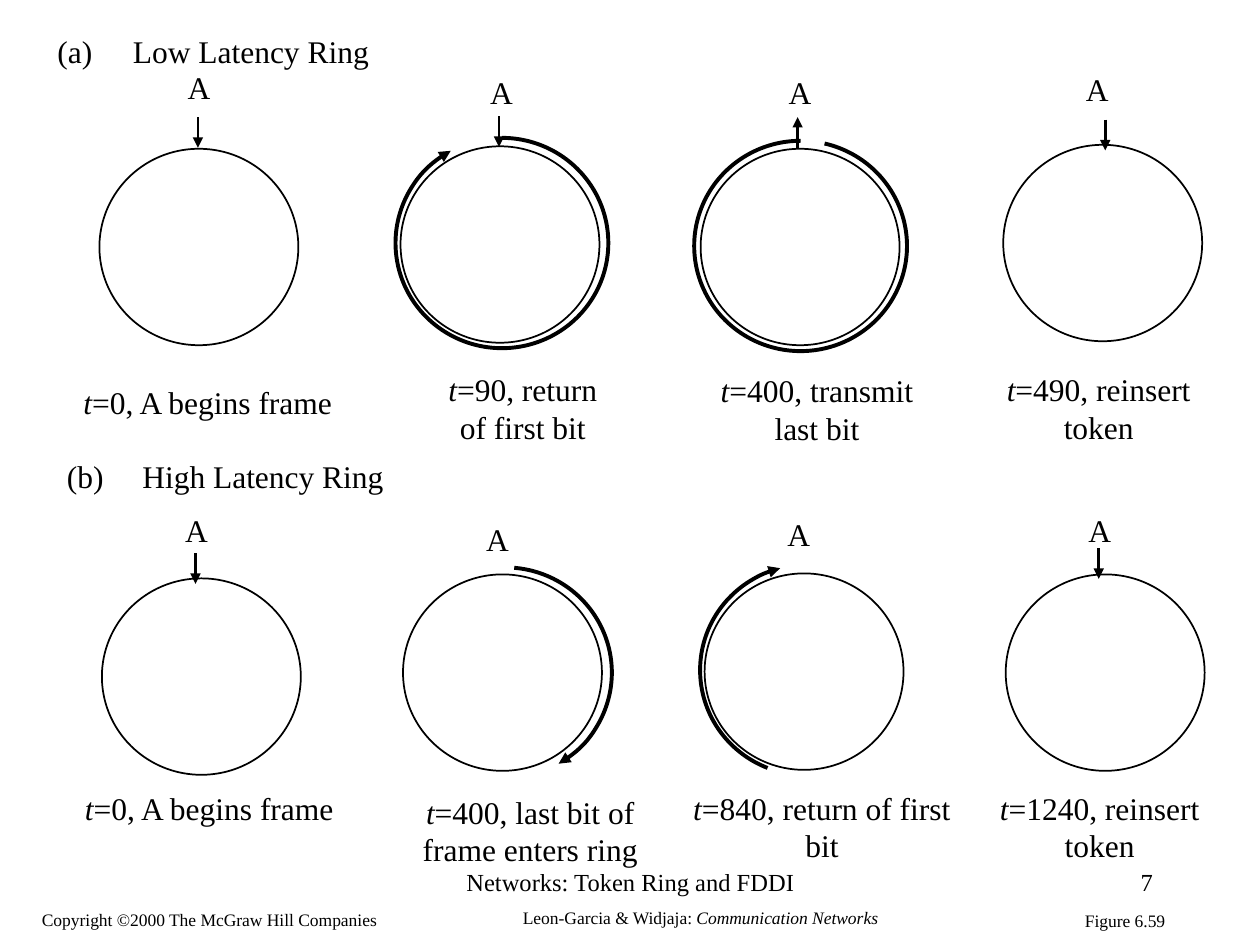
from lxml.etree import SubElement
from pptx import Presentation
from pptx.dml.color import RGBColor
from pptx.enum.shapes import MSO_CONNECTOR as LINE, MSO_SHAPE as SHAPE
from pptx.enum.text import MSO_ANCHOR as ANCHOR, PP_ALIGN as ALIGN
from pptx.oxml.ns import qn
from pptx.util import Cm, Pt

INK, PAPER = "000000", "FFFFFF"
FONT = "Times New Roman"
RING_SIZE = (4.01, 3.96)
ARC_SIZE = (4.29, 4.24)
STATION_SIZE = (0.97, 1.02)
ARROW_LENGTH = 0.62
LINE_HEIGHT, BOX_PADDING = 0.76, 0.26

# Centres and sizes in cm; arrow: x, top, direction;
# arc: centre, start and end angle (clockwise from the right), arrowhead
STAGES = [
    dict(ring=(4.01, 4.98), station=(4.01, 1.75), arrow=(3.99, 2.36, "down"),
         caption=(4.19, 8.10, 5.7), time=["=0, A begins frame"]),
    dict(ring=(10.08, 4.93), station=(10.11, 1.85), arrow=(10.06, 2.34, "down"),
         arc=(10.12, 4.90, 270, 241, True),
         caption=(10.54, 8.23, 3.7), time=["=90, return", "of first bit"]),
    dict(ring=(16.13, 4.98), station=(16.13, 1.85), arrow=(16.08, 2.36, "up"),
         arc=(16.14, 4.96, 283.2, 270, False),
         caption=(16.47, 8.25, 4.6), time=["=400, transmit", "last bit"]),
    dict(ring=(22.23, 4.90), station=(22.12, 1.80), arrow=(22.28, 2.41, "down"),
         caption=(22.15, 8.23, 4.4), time=["=490, reinsert", "token"]),
    dict(ring=(4.06, 13.64), station=(3.96, 10.69), arrow=(3.94, 11.15, "down"),
         caption=(4.22, 16.28, 5.7), time=["=0, A begins frame"]),
    dict(ring=(10.13, 13.56), station=(10.03, 10.87),
         arc=(10.19, 13.56, 274.8, 59.7, True), wrapped=True,
         caption=(10.69, 16.74, 5.64), time=["=400, last bit of frame enters ring"]),
    dict(ring=(16.21, 13.54), station=(16.10, 10.77),
         arc=(16.26, 13.51, 111.7, 255.5, True), wrapped=True,
         caption=(16.57, 16.66, 5.87), time=["=840, return of first bit"]),
    dict(ring=(22.28, 13.56), station=(22.17, 10.69), arrow=(22.15, 11.05, "down"),
         caption=(22.17, 16.66, 4.9), time=["=1240, reinsert", "token"]),
]
HEADINGS = [
    ("(a)\tLow Latency Ring", (4.51, 1.02, 7.2, 1.02)),
    ("(b)\tHigh Latency Ring", (4.70, 9.60, 7.2, 1.02)),
]
HEADING_TAB = 1.52
FOOTERS = [
    ([("Networks: Token Ring and FDDI", False)], (12.71, 17.98, 8.05, 1.27),
     dict(size=14, anchor=ANCHOR.TOP, wrap=True)),
    ([("7", False)], (20.85, 17.98, 5.28, 1.27),
     dict(size=14, anchor=ANCHOR.TOP, wrap=True, align=ALIGN.RIGHT)),
    ([("Figure 6.59", False)], (22.68, 18.55, 2.3, 0.69), dict(size=10)),
    ([("Leon-Garcia & Widjaja: ", False), ("Communication Networks", True)],
     (14.12, 18.50, 7.77, 0.69), dict(size=10)),
    ([("Copyright ©2000 The McGraw Hill Companies", False)],
     (4.22, 18.53, 7.4, 0.69), dict(size=10)),
]


def rgb(value):
    return RGBColor.from_string(value)


def around(cx, cy, width, height):
    """Left, top, width and height of a box given by its centre."""
    return Cm(cx - width / 2), Cm(cy - height / 2), Cm(width), Cm(height)


def add_text(slide, paragraphs, box, size=18, align=ALIGN.CENTER,
             anchor=ANCHOR.MIDDLE, wrap=False, tab=None):
    """Each paragraph is a list of (text, italic) runs."""
    frame = slide.shapes.add_textbox(*around(*box)).text_frame
    frame.word_wrap, frame.vertical_anchor = wrap, anchor
    for index, runs in enumerate(paragraphs):
        paragraph = frame.add_paragraph() if index else frame.paragraphs[0]
        paragraph.alignment = align
        if tab:
            stops = SubElement(paragraph._p.get_or_add_pPr(), qn("a:tabLst"))
            SubElement(stops, qn("a:tab"), pos=str(Cm(tab)), algn="l")
        for text, italic in runs:
            run = paragraph.add_run()
            run.text = text
            style = dict(name=FONT, size=Pt(size), italic=italic)
            for key, value in style.items():
                setattr(run.font, key, value)
            run.font.color.rgb = rgb(INK)


def draw_line(shape, width, end=None):
    """Set the outline; end is headEnd or tailEnd."""
    shape.line.color.rgb = rgb(INK)
    shape.line.width = Pt(width)
    if end:
        SubElement(shape.line._get_or_add_ln(), qn("a:" + end), type="triangle")


def add_ring(slide, cx, cy):
    ring = slide.shapes.add_shape(SHAPE.OVAL, *around(cx, cy, *RING_SIZE))
    ring.shadow.inherit = False
    ring.fill.solid()
    ring.fill.fore_color.rgb = rgb(PAPER)
    draw_line(ring, 1)


def add_frame_arc(slide, cx, cy, start, end, arrowhead):
    arc = slide.shapes.add_shape(SHAPE.ARC, *around(cx, cy, *ARC_SIZE))
    arc.shadow.inherit = False
    arc.fill.background()
    for index, angle in enumerate((start, end)):
        arc.adjustments[index] = angle * 0.6  # 60000 units per degree / 100000
    draw_line(arc, 2.25, "tailEnd" if arrowhead else None)


def add_arrow(slide, x, top, direction):
    arrow = slide.shapes.add_connector(
        LINE.STRAIGHT, Cm(x), Cm(top), Cm(x), Cm(top + ARROW_LENGTH))
    draw_line(arrow, 1.5, "tailEnd" if direction == "down" else "headEnd")
    SubElement(arrow._element.spPr, qn("a:effectLst"))


def add_stage(slide, stage):
    add_ring(slide, *stage["ring"])
    add_text(slide, [[("A", False)]], (*stage["station"], *STATION_SIZE))
    if "arrow" in stage:
        add_arrow(slide, *stage["arrow"])
    if "arc" in stage:
        add_frame_arc(slide, *stage["arc"])
    wrapped = stage.get("wrapped", False)
    lines = [[(line, False)] for line in stage["time"]]
    lines[0].insert(0, ("t", True))
    line_count = 2 if wrapped else len(lines)
    height = BOX_PADDING + LINE_HEIGHT * line_count
    add_text(slide, lines, (*stage["caption"], height), wrap=wrapped)


def main():
    deck = Presentation()
    deck.slide_width, deck.slide_height = Cm(25.4), Cm(19.05)
    slide = deck.slides.add_slide(deck.slide_layouts[6])
    for stage in STAGES:
        add_stage(slide, stage)
    for heading, box in HEADINGS:
        add_text(slide, [[(heading, False)]], box, align=ALIGN.LEFT,
                 wrap=True, tab=HEADING_TAB)
    for runs, box, options in FOOTERS:
        add_text(slide, [runs], box, **options)
    deck.save("out.pptx")


if __name__ == "__main__":
    main()
